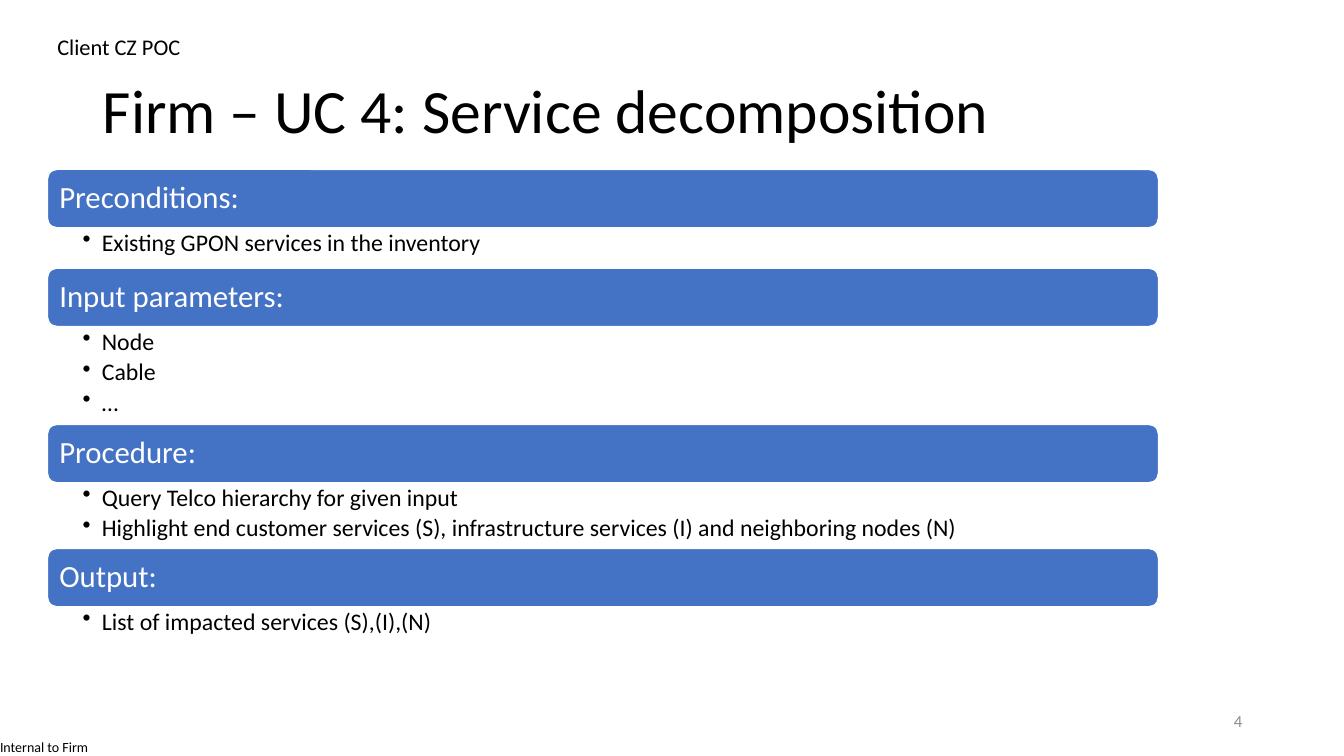
from lxml import etree
from pptx import Presentation
from pptx.dml.color import RGBColor
from pptx.enum.shapes import MSO_SHAPE
from pptx.enum.text import MSO_ANCHOR, MSO_AUTO_SIZE, PP_ALIGN
from pptx.oxml.ns import qn
from pptx.util import Inches, Pt

ROUND = MSO_SHAPE.ROUNDED_RECTANGLE
TOP, MIDDLE = MSO_ANCHOR.TOP, MSO_ANCHOR.MIDDLE
LEFT, RIGHT = PP_ALIGN.LEFT, PP_ALIGN.RIGHT
FIXED = MSO_AUTO_SIZE.NONE

BLACK = RGBColor(0x00, 0x00, 0x00)
WHITE = RGBColor(0xFF, 0xFF, 0xFF)
BLUE = RGBColor(0x44, 0x72, 0xC4)
GREY = RGBColor(0x8C, 0x8C, 0x8C)

FONT = "Calibri"
EDGE, WIDTH, BAR = 0.47, 11.02, 0.58
INSETS = (0.1, 0.05, 0.1, 0.05)

SECTIONS = [
    ("Preconditions:", 0.4, ["Existing GPON services in the inventory"]),
    ("Input parameters:", 0.97, ["Node", "Cable", "…"]),
    ("Procedure:", 0.65, [
        "Query Telco hierarchy for given input",
        "Highlight end customer services (S), infrastructure services (I) "
        "and neighboring nodes (N)",
    ]),
    ("Output:", 0.4, ["List of impacted services (S),(I),(N)"]),
]


def style(para, size, color, align=LEFT, spacing=1.0):
    para.alignment = align
    para.line_spacing = spacing
    for run in para.runs:
        run.font.name = FONT
        run.font.size = Pt(size)
        run.font.color.rgb = color


def setup(shape, anchor=TOP, insets=INSETS):
    frame = shape.text_frame
    frame.word_wrap = True
    frame.auto_size = FIXED
    frame.vertical_anchor = anchor
    (frame.margin_left, frame.margin_top,
     frame.margin_right, frame.margin_bottom) = map(Inches, insets)
    return frame


def add_label(slide, box, text, size, color, anchor=TOP, insets=INSETS,
              align=LEFT, spacing=1.0):
    shape = slide.shapes.add_textbox(*map(Inches, box))
    frame = setup(shape, anchor, insets)
    frame.text = text
    style(frame.paragraphs[0], size, color, align, spacing)


def set_title(slide, text):
    title = slide.shapes.title
    title.left, title.top = Inches(0.92), Inches(0.4)
    title.width, title.height = Inches(11.5), Inches(1.45)
    frame = setup(title, MIDDLE)
    frame.text = text
    style(frame.paragraphs[0], 44, BLACK, spacing=0.9)


def add_bar(slide, top, text):
    bar = slide.shapes.add_shape(
        ROUND, Inches(EDGE), Inches(top), Inches(WIDTH), Inches(BAR))
    bar.shadow.inherit = False
    bar.fill.solid()
    bar.fill.fore_color.rgb = BLUE
    bar.line.color.rgb = WHITE
    bar.line.width = Pt(1)
    frame = setup(bar, MIDDLE, (0.09, 0.09, 0.09, 0.09))
    frame.text = text
    style(frame.paragraphs[0], 22, WHITE, spacing=0.9)


def add_bullet(para):
    props = para._p.get_or_add_pPr()
    props.set("marL", str(Inches(0.19)))
    props.set("indent", str(-Inches(0.19)))
    etree.SubElement(props, qn("a:buChar")).set("char", "•")


def add_list(slide, top, height, items):
    box = slide.shapes.add_textbox(
        Inches(EDGE), Inches(top), Inches(WIDTH), Inches(height))
    frame = setup(box, TOP, (0.35, 0.03, 0.17, 0.03))
    frame.text = "\n".join(items)
    for para in frame.paragraphs:
        add_bullet(para)
        para.level = 1
        para.space_after = Pt(3.4)
        style(para, 17, BLACK, spacing=0.9)


def main():
    deck = Presentation()
    deck.slide_width, deck.slide_height = Inches(13.33), Inches(7.5)
    slide = deck.slides.add_slide(deck.slide_layouts[5])

    add_label(slide, (0, 7.33, 1.01, 0.17), "Internal to Firm", 10, BLACK,
              insets=(0, 0, 0, 0))
    set_title(slide, "Firm – UC 4: Service decomposition")
    top = 1.68
    for head, height, items in SECTIONS:
        add_bar(slide, top, head)
        add_list(slide, top + BAR, height, items)
        top += BAR + height
    add_label(slide, (9.42, 6.95, 3, 0.4), "4", 12, GREY, MIDDLE, align=RIGHT)
    add_label(slide, (EDGE, 0.33, 5.76, 0.34), "Client CZ POC", 16, BLACK,
              spacing=0.8)
    deck.save("out.pptx")


if __name__ == "__main__":
    main()
